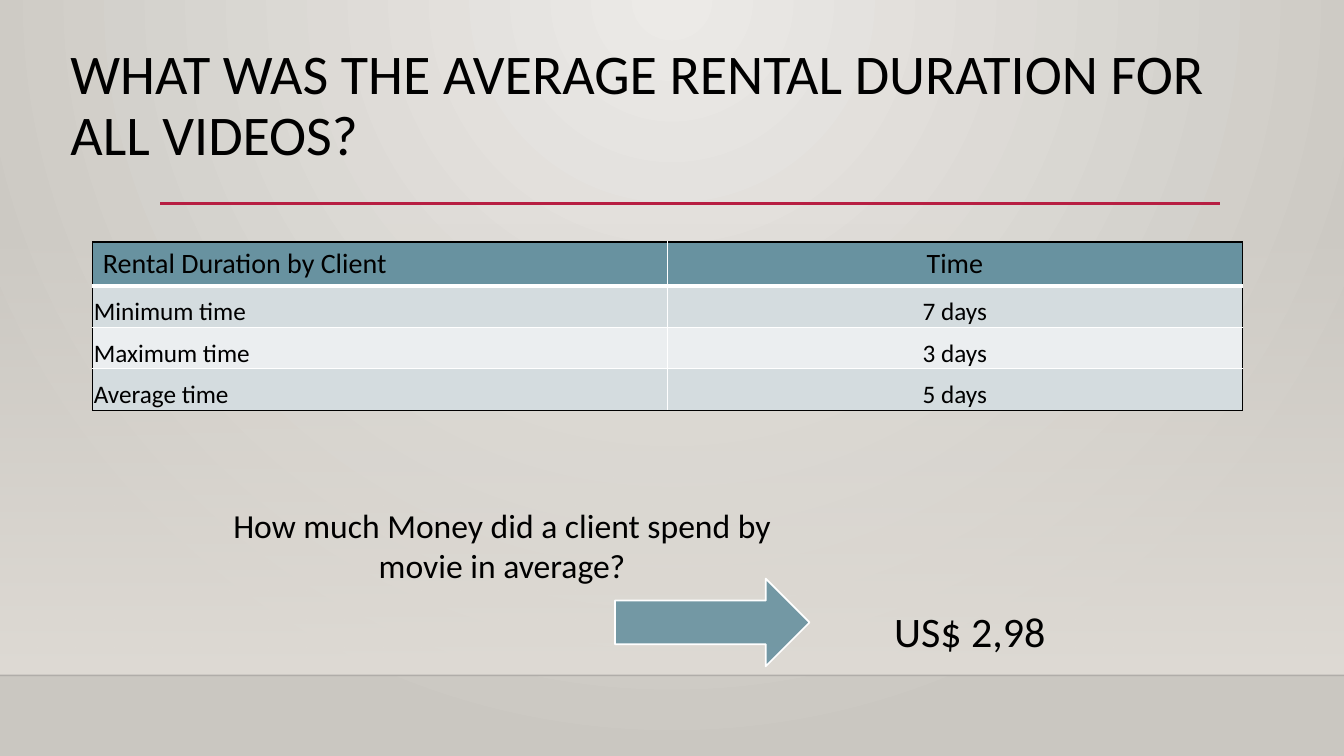
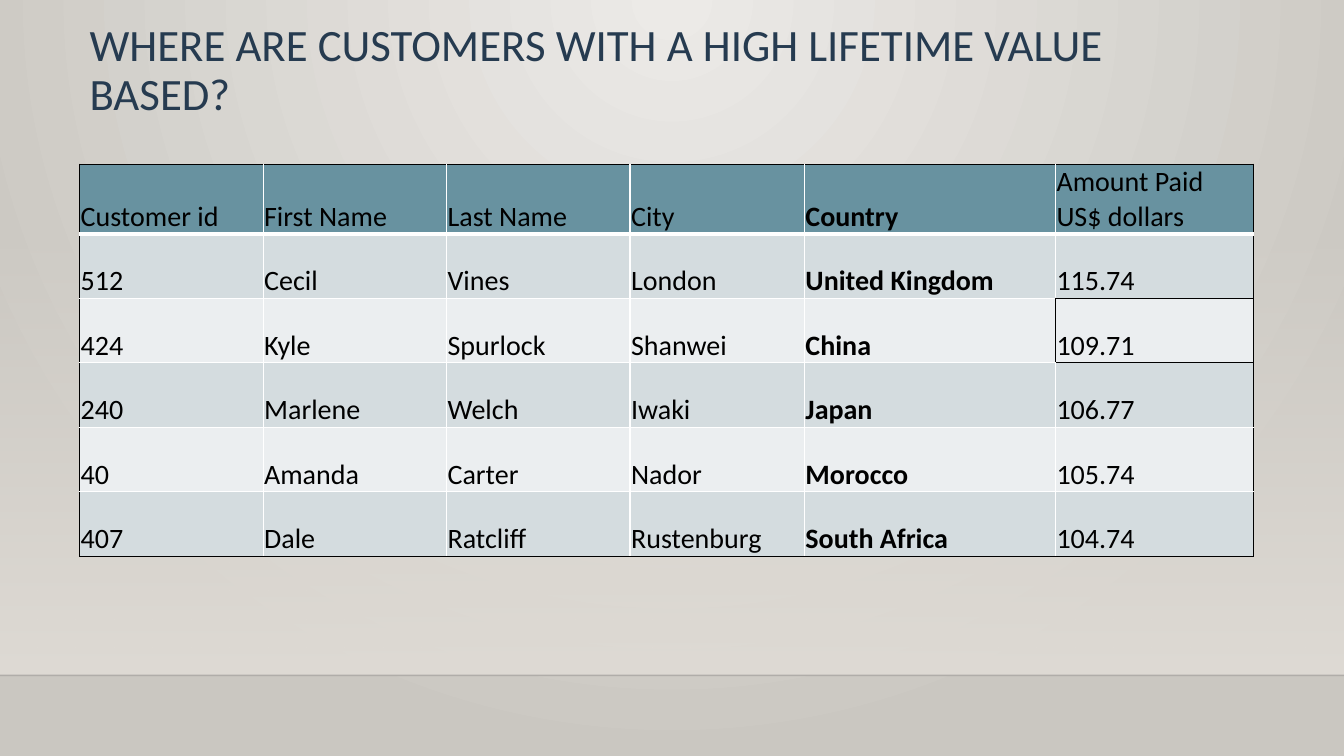
from lxml import etree
from pptx import Presentation
from pptx.dml.color import RGBColor
from pptx.enum.shapes import MSO_CONNECTOR, MSO_SHAPE
from pptx.enum.text import MSO_ANCHOR, PP_ALIGN
from pptx.oxml.ns import qn
from pptx.util import Inches, Pt

RENTAL_TITLE = "WHAT WAS THE AVERAGE RENTAL DURATION FOR ALL VIDEOS?"
RENTAL_ROWS = [
    ("Rental Duration by Client", "Time"),
    ("Minimum time", "7 days"),
    ("Maximum time", "3 days"),
    ("Average time", "5 days"),
]
SPEND_QUESTION = "How much Money did a client spend by movie in average?"
SPEND_ANSWER = "US$ 2,98"

CUSTOMER_TITLE = "WHERE ARE CUSTOMERS WITH A HIGH LIFETIME VALUE BASED?"
CUSTOMER_ROWS = [
    ("Customer id", "First Name", "Last Name", "City", "Country", "Amount Paid US$ dollars"),
    ("512", "Cecil", "Vines", "London", "United Kingdom", "115.74"),
    ("424", "Kyle", "Spurlock", "Shanwei", "China", "109.71"),
    ("240", "Marlene", "Welch", "Iwaki", "Japan", "106.77"),
    ("40", "Amanda", "Carter", "Nador", "Morocco", "105.74"),
    ("407", "Dale", "Ratcliff", "Rustenburg", "South Africa", "104.74"),
]

FONT = "Calibri"
BLACK = RGBColor(0x00, 0x00, 0x00)
WHITE = RGBColor(0xFF, 0xFF, 0xFF)
NAVY = RGBColor(0x26, 0x3B, 0x50)
CRIMSON = RGBColor(0xB7, 0x1E, 0x42)
TEAL = RGBColor(0x68, 0x92, 0xA0)
BANDS = (RGBColor(0xEB, 0xEE, 0xF0), RGBColor(0xD4, 0xDC, 0xDF))
GLOW = RGBColor(0xEC, 0xEA, 0xE7)
STONE = RGBColor(0xCA, 0xC7, 0xC1)
WALL = RGBColor(0xDF, 0xDB, 0xD5)
FLOOR_LINE = RGBColor(0x00, 0x00, 0x01)

LEFT, CENTER = PP_ALIGN.LEFT, PP_ALIGN.CENTER
MIDDLE_TOP, BOTTOM = MSO_ANCHOR.TOP, MSO_ANCHOR.BOTTOM
STRAIGHT = MSO_CONNECTOR.STRAIGHT
RECTANGLE, RIGHT_ARROW = MSO_SHAPE.RECTANGLE, MSO_SHAPE.RIGHT_ARROW

SLIDE_W, SLIDE_H = 13.33, 7.5
WALL_TOP, FLOOR_TOP = 2.21, 6.7
TITLE_SIZE = (11.5, 1.45)
SIDES = {"a:lnL": (0, -1), "a:lnR": (0, 1), "a:lnT": (-1, 0), "a:lnB": (1, 0)}


def inches(*lengths):
    """Turn plain numbers into lengths."""
    return [Inches(length) for length in lengths]


def set_opacity(fill_element, percent):
    """Set the opacity of the first colour inside an element."""
    color = next(fill_element.iter(qn("a:srgbClr")))
    etree.SubElement(color, qn("a:alpha")).set("val", str(percent * 1000))


def set_gradient(fill, start, end):
    """Give a fill a two-colour gradient."""
    fill.gradient()
    for stop, color in zip(fill.gradient_stops, (start, end)):
        stop.color.rgb = color


def write_text(frame, text, size=20, color=BLACK, bold=False, align=LEFT, spacing=None):
    """Write one formatted paragraph into a text frame."""
    frame.word_wrap = True
    paragraph = frame.paragraphs[0]
    paragraph.alignment = align
    paragraph.line_spacing = spacing
    run = paragraph.add_run()
    run.text = text
    run.font.name, run.font.size, run.font.bold = FONT, Pt(size), bold
    run.font.color.rgb = color


def add_text(slide, box, text, **text_format):
    """Add a text box at (left, top, width, height)."""
    write_text(slide.shapes.add_textbox(*inches(*box)).text_frame, text, **text_format)


def add_rule(slide, left, right, top, color, width):
    """Add a horizontal line without shadow."""
    rule = slide.shapes.add_connector(STRAIGHT, *inches(left, top, right, top))
    rule.line.color.rgb, rule.line.width = color, Pt(width)
    properties = rule.element.spPr
    etree.SubElement(properties, qn("a:effectLst"))
    return properties


def add_backdrop(slide):
    """Draw the radial background, the wall and the floor line."""
    set_gradient(slide.background.fill, GLOW, STONE)
    gradient = next(slide.element.iter(qn("a:gradFill")))
    gradient.remove(gradient.find(qn("a:lin")))
    circle = etree.SubElement(gradient, qn("a:path"), {"path": "circle"})
    etree.SubElement(circle, qn("a:fillToRect"), {"l": "43000", "r": "43000", "b": "100000"})

    wall = slide.shapes.add_shape(
        RECTANGLE, *inches(0, WALL_TOP, SLIDE_W, FLOOR_TOP - WALL_TOP))
    wall.shadow.inherit = False
    wall.line.fill.background()
    set_gradient(wall.fill, WALL, WALL)
    wall.fill.gradient_angle = 270
    set_opacity(wall.element.spPr, 0)
    set_opacity(add_rule(slide, 0, SLIDE_W, FLOOR_TOP, FLOOR_LINE, 1), 20)


def add_title_slide(deck, title, corner, **title_format):
    """Add a blank slide with the shared backdrop and title style."""
    slide = deck.slides.add_slide(deck.slide_layouts[6])
    add_backdrop(slide)
    add_text(slide, corner + TITLE_SIZE, title, spacing=0.9, **title_format)
    return slide


def set_borders(cell, place, grid, outlined):
    """Draw black outer edges, white inner edges and a thick header edge."""
    row, column = place
    properties = cell._tc.get_or_add_tcPr()
    for side, (down, across) in SIDES.items():
        neighbour = (row + down, column + across)
        dark = neighbour not in grid or outlined in (place, neighbour)
        width = 3 if {row, neighbour[0]} == {0, 1} else 1
        edge = etree.SubElement(properties, qn(side), {"w": str(Pt(width))})
        paint = etree.SubElement(edge, qn("a:solidFill"))
        etree.SubElement(paint, qn("a:srgbClr"), {"val": str(BLACK if dark else WHITE)})


def add_banded_table(slide, corner, rows, widths, heights, body_size=20, centered=(),
                     bold=(), outlined=None, roomy_header=False):
    """Add a table with a teal header and two alternating row colours."""
    table = slide.shapes.add_table(
        len(rows), len(widths), *inches(*corner, sum(widths), sum(heights))).table
    table.first_row = table.horz_banding = False
    for column, width in zip(table.columns, widths):
        column.width = Inches(width)
    for line, height in zip(table.rows, heights):
        line.height = Inches(height)
    grid = {(r, c) for r in range(len(rows)) for c in range(len(widths))}
    for r, c in sorted(grid):
        cell = table.cell(r, c)
        set_borders(cell, (r, c), grid, outlined)
        cell.fill.solid()
        cell.fill.fore_color.rgb = BANDS[r % 2] if r else TEAL
        if r or not roomy_header:
            cell.margin_left = cell.margin_right = cell.margin_top = Inches(0.01)
            cell.margin_bottom = 0
            cell.vertical_anchor = BOTTOM
        write_text(cell.text_frame, rows[r][c], size=body_size if r else 20,
                   bold=c in bold, align=CENTER if c in centered else LEFT)


def build_rental_slide(deck):
    """Rental durations, and the average spend per movie."""
    slide = add_title_slide(deck, RENTAL_TITLE, (0.6, 0.41), size=40)
    add_rule(slide, 1.59, 12.1, 2.02, CRIMSON, 2.5)
    add_banded_table(slide, (0.92, 2.4), RENTAL_ROWS, [5.7] * 2, [0.44] + [0.41] * 3,
                     body_size=18, centered=(1,), roomy_header=True)
    add_text(slide, (1.93, 4.96, 6.1, 0.91), SPEND_QUESTION, size=24, align=CENTER)
    add_text(slide, (8.77, 5.96, 2.83, 0.61), SPEND_ANSWER, size=30)
    arrow = slide.shapes.add_shape(RIGHT_ARROW, *inches(6.1, 5.74, 1.93, 0.87))
    arrow.shadow.inherit = False
    arrow.fill.solid()
    arrow.fill.fore_color.rgb = TEAL
    set_opacity(arrow.element.spPr, 90)
    arrow.line.color.rgb, arrow.line.width = WHITE, Pt(1.25)


def build_customer_slide(deck):
    """The customers who paid most, with their countries."""
    slide = add_title_slide(deck, CUSTOMER_TITLE, (0.79, 0.18), size=32, color=NAVY)
    add_banded_table(slide, (0.79, 1.63), CUSTOMER_ROWS,
                     [1.82] * 3 + [1.73, 2.49, 1.96], [0.69] + [0.64] * 5,
                     bold=(4,), outlined=(2, 5))


deck = Presentation()
deck.slide_width, deck.slide_height = inches(SLIDE_W, SLIDE_H)
build_rental_slide(deck)
build_customer_slide(deck)
deck.save("out.pptx")
